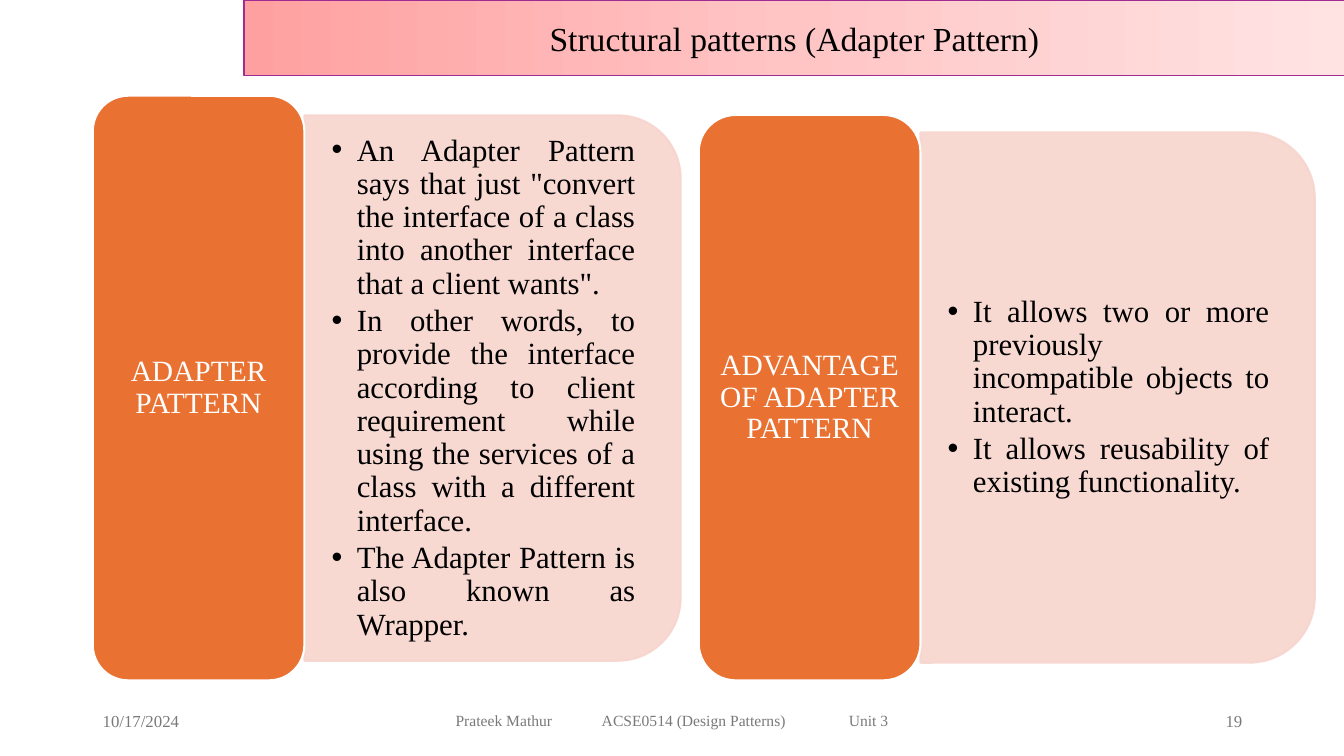
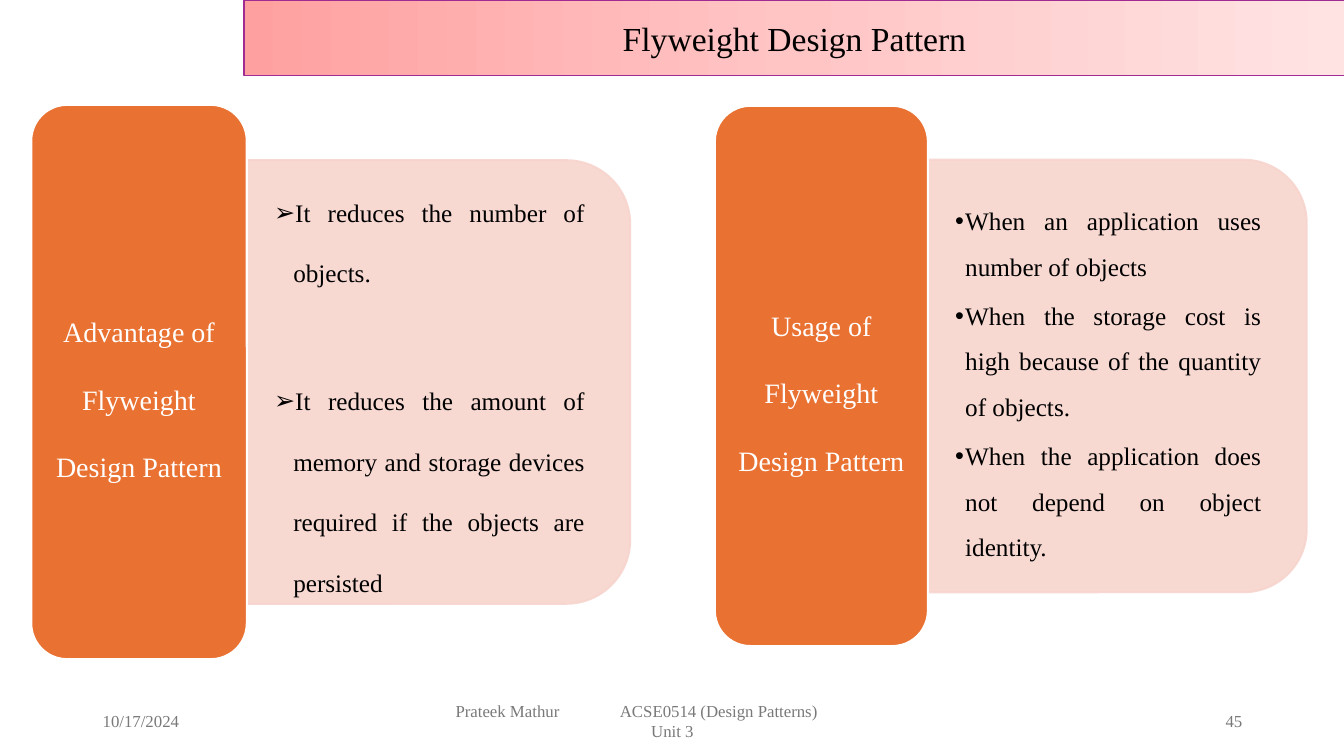
import copy

from lxml import etree
from pptx import Presentation
from pptx import util as u
from pptx.dml.color import RGBColor
from pptx.enum import shapes, text
from pptx.oxml.ns import qn

COLORS = {
    "label": "E97132",
    "panel": "F7D5CE",
    "white": "FFFFFF",
    "black": "000000",
    "footer": "797979",
    "title_line": "A02B93",
}
TITLE_GRADIENT = [(0, "FFA0A0"), (0.5, "FFC5C5"), (1, "FFE3E3")]
FONT = "Times New Roman"
LABEL_SHARE = 0.36  # part of a card's width taken by its label
CORNER = 0.18       # keeps panel text clear of the rounded corners
LEFT, CENTER = text.PP_ALIGN.LEFT, text.PP_ALIGN.CENTER
RIGHT, JUSTIFY = text.PP_ALIGN.RIGHT, text.PP_ALIGN.JUSTIFY


def rgb(name):
    return RGBColor.from_string(COLORS.get(name, name))


def place(sp, left, top, width, height):
    sp.left, sp.top = u.Inches(left), u.Inches(top)
    sp.width, sp.height = u.Inches(width), u.Inches(height)


def write(sp, lines, size, color="black", align=LEFT, spacing=1.0,
          after=0, gap=0, insets=(0.1, 0.05)):
    """Fill a shape with one paragraph per line; gap is the space between them."""
    tf = sp.text_frame
    tf.word_wrap = True
    tf.auto_size = text.MSO_AUTO_SIZE.NONE
    tf.vertical_anchor = text.MSO_ANCHOR.MIDDLE
    tf.margin_left = tf.margin_right = u.Inches(insets[0])
    tf.margin_top = tf.margin_bottom = u.Inches(insets[1])
    for i, line in enumerate(lines):
        p = tf.paragraphs[0] if i == 0 else tf.add_paragraph()
        p.alignment, p.line_spacing = align, spacing
        p.space_before, p.space_after = u.Pt(gap if i else 0), u.Pt(after)
        r = p.add_run()
        r.text = line
        r.font.name, r.font.size = FONT, u.Pt(size)
        r.font.color.rgb = rgb(color)
    return tf.paragraphs


def set_bullet(p, char, indent):
    pPr = p._p.get_or_add_pPr()
    pPr.set("marL", str(u.Inches(indent)))
    pPr.set("indent", str(-u.Inches(indent)))
    etree.SubElement(pPr, qn("a:buChar")).set("char", char)


def set_tabs(p, stops):
    tabs = etree.SubElement(p._p.get_or_add_pPr(), qn("a:tabLst"))
    for stop in stops:
        tab = etree.SubElement(tabs, qn("a:tab"))
        tab.set("pos", str(u.Inches(stop)))
        tab.set("algn", "l")


def add_block(slide, kind, box, fill, line):
    sp = slide.shapes.add_shape(kind, *(u.Inches(v) for v in box))
    sp.shadow.inherit = False
    sp.fill.solid()
    sp.fill.fore_color.rgb = rgb(fill)
    sp.line.color.rgb = rgb(line)
    sp.line.width = u.Pt(1.5)
    return sp


def add_title(slide, title):
    sp = slide.shapes.title
    place(sp, 2.42, 0, 10.92, 0.75)
    sp.fill.gradient()
    sp.fill.gradient_angle = 0
    stops = sp._element.find(".//" + qn("a:gsLst"))
    stops.append(copy.deepcopy(stops[-1]))
    for stop, (position, color) in zip(sp.fill.gradient_stops, TITLE_GRADIENT):
        stop.position, stop.color.rgb = position, rgb(color)
    sp.line.color.rgb = rgb("title_line")
    sp.line.width = u.Pt(1)
    write(sp, [title], 24, align=CENTER)


def add_footer(slide, number, lines, size, stops):
    """Date, course and page; a course line with tabs follows the tab stops."""
    parts = [(0.92, 3, ["10/17/2024"], 12, LEFT),
             (4.42, 4.5, lines, size, CENTER),
             (9.42, 3, [number], 12, RIGHT)]
    for left, width, content, pt, align in parts:
        sp = slide.shapes.add_textbox(*(u.Inches(v) for v in (left, 6.95, width, 0.4)))
        for p in write(sp, content, pt, "footer", align):
            if "\t" in p.text:
                p.alignment = LEFT
                set_tabs(p, stops)


def add_card(slide, body, box, panel_height, label, points, label_format,
             list_format, bullet):
    """Label on the left of the box, with a vertically centred list panel beside it."""
    left, top, width, height = box
    label_width = width * LABEL_SHARE
    panel_left, panel_width = left + label_width, width - label_width
    middle = top + height / 2

    panel = add_block(slide, shapes.MSO_SHAPE.ROUND_2_SAME_RECTANGLE,
                      (panel_left + (panel_width - panel_height) / 2,
                       middle - panel_width / 2, panel_height, panel_width),
                      "panel", "panel")
    panel.rotation = 90
    for color in panel._element.spPr.iter(qn("a:srgbClr")):
        etree.SubElement(color, qn("a:alpha")).set("val", "90000")

    tag = add_block(slide, shapes.MSO_SHAPE.ROUNDED_RECTANGLE,
                    (left, top, label_width, height), "label", "white")
    write(tag, [label], color="white", align=CENTER, insets=(0.08, 0.04),
          **label_format)

    text_height = panel_height - 2 * CORNER
    place(body, panel_left, middle - text_height / 2,
          panel_width - CORNER, text_height)
    slide.shapes._spTree.append(body._element)  # list goes in front of its panel
    for p in write(body, points, align=JUSTIFY, after=3, insets=(0.27, 0.14),
                   **list_format):
        set_bullet(p, *bullet)


def add_card_slide(prs, title, cards, footer):
    slide = prs.slides.add_slide(prs.slide_layouts.get_by_name("Two Content"))
    add_title(slide, title)
    bodies = [sp for sp in slide.placeholders if sp.placeholder_format.idx]
    for body, card in zip(bodies, cards):
        add_card(slide, body, **card)
    add_footer(slide, **footer)


def main():
    prs = Presentation()
    prs.slide_width, prs.slide_height = u.Inches(13.33), u.Inches(7.5)

    adapter = {"label_format": {"size": 21, "spacing": 0.9},
               "list_format": {"size": 22, "spacing": 0.9},
               "bullet": ("•", 0.25)}
    add_card_slide(prs, "Structural patterns (Adapter Pattern)", [
        {"box": (0.92, 0.95, 5.83, 5.8), "panel_height": 5.41,
         "label": "ADAPTER PATTERN",
         "points": [
             'An Adapter Pattern says that just "convert the interface of a '
             'class into another interface that a client wants".',
             "In other words, to provide the interface according to client "
             "requirement while using the services of a class with a "
             "different interface.",
             "The Adapter Pattern is also known as Wrapper."],
         **adapter},
        {"box": (6.93, 1.14, 6.11, 5.61), "panel_height": 5.26,
         "label": "ADVANTAGE OF ADAPTER PATTERN",
         "points": [
             "It allows two or more previously incompatible objects to interact.",
             "It allows reusability of existing functionality."],
         **adapter},
    ], {"number": "19", "size": 11.1, "stops": (1.45, 3.9),
        "lines": ["Prateek Mathur\tACSE0514 (Design Patterns)\tUnit 3"]})

    flyweight_label = {"size": 20, "spacing": 2.0}
    add_card_slide(prs, "Flyweight Design Pattern", [
        {"box": (0.31, 1.04, 5.94, 5.5), "panel_height": 4.4,
         "label": "Advantage of Flyweight Design Pattern",
         "points": [
             "It reduces the number of objects.",
             "It reduces the amount of memory and storage devices required "
             "if the objects are persisted"],
         "label_format": flyweight_label,
         "list_format": {"size": 18, "spacing": 2.0, "gap": 45},
         "bullet": ("➢", 0.19)},
        {"box": (7.09, 1.05, 5.87, 5.36), "panel_height": 4.29,
         "label": "Usage of Flyweight Design Pattern",
         "points": [
             "When an application uses number of objects",
             "When the storage cost is high because of the quantity of objects.",
             "When the application does not depend on object identity."],
         "label_format": flyweight_label,
         "list_format": {"size": 18, "spacing": 1.5},
         "bullet": ("•", 0.1)},
    ], {"number": "45", "size": 12, "stops": (1.63,),
        "lines": ["Prateek Mathur\tACSE0514 (Design Patterns)", "Unit 3"]})

    prs.save("out.pptx")


if __name__ == "__main__":
    main()
